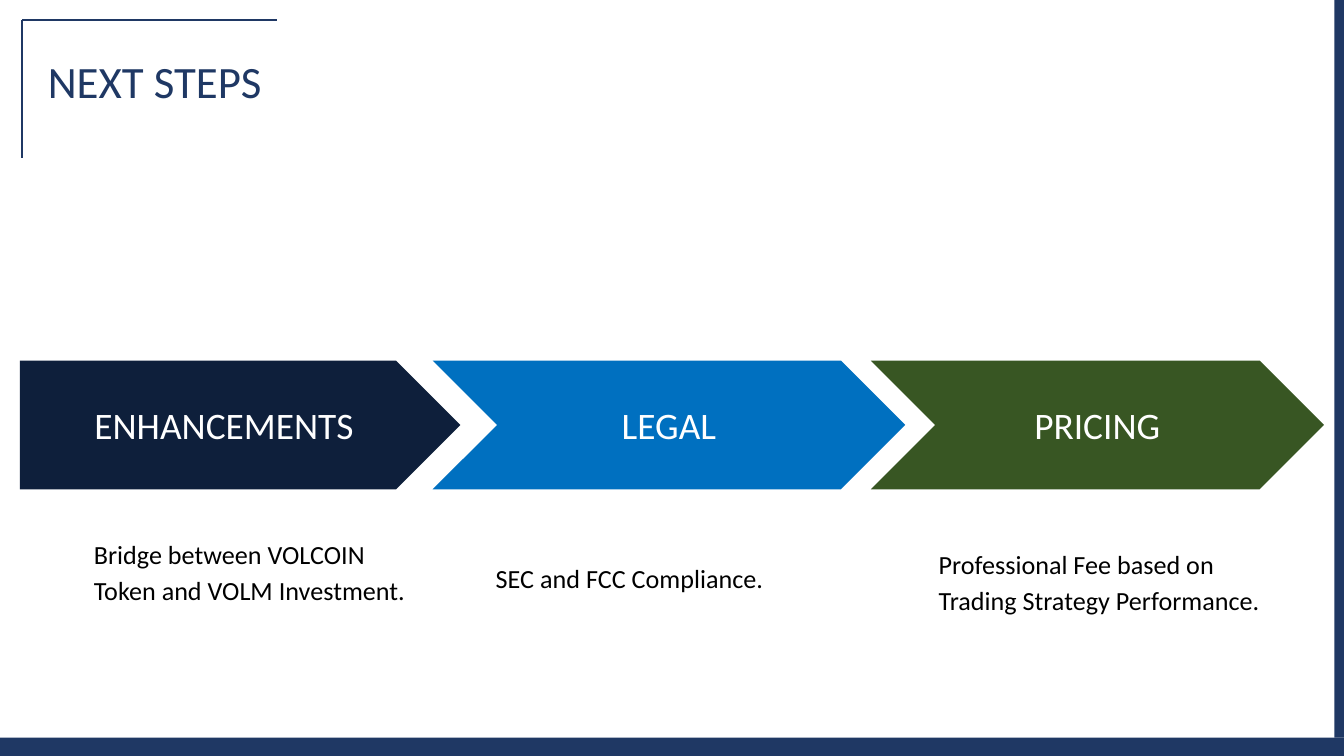
import pptx
import pptx.dml.color
import pptx.enum.shapes
import pptx.enum.text
import pptx.util
from lxml import etree
from pptx.oxml.ns import qn

Pt = pptx.util.Pt
SHAPE = pptx.enum.shapes.MSO_SHAPE
ALIGN = pptx.enum.text.PP_ALIGN
ANCHOR = pptx.enum.text.MSO_ANCHOR

NAVY, WHITE, BLACK = "1F3864", "FFFFFF", "000000"


def rgb(value):
    return pptx.dml.color.RGBColor.from_string(value)


class Deck:
    """Holds the style and the slide being drawn; lengths are in points."""

    font = "Calibri"

    def __init__(self, width, height):
        self.prs = pptx.Presentation()
        self.prs.slide_width, self.prs.slide_height = Pt(width), Pt(height)
        self.s = self.prs.slides.add_slide(self.prs.slide_layouts[6])

    def set_text(self, sp, lines, size, color, inset=(7.2, 7.2), align=ALIGN.LEFT,
                 anchor=ANCHOR.TOP, spacing=None, indent=0):
        tf = sp.text_frame
        tf.word_wrap = True
        tf.vertical_anchor = anchor
        tf.margin_left = tf.margin_right = Pt(inset[0])
        tf.margin_top = tf.margin_bottom = Pt(inset[1])
        tf.text = "\n".join(lines)
        for p in tf.paragraphs:
            p.alignment = align
            p.line_spacing = spacing
            if indent:
                pPr = p._p.get_or_add_pPr()
                pPr.set("marL", str(Pt(indent)))
                pPr.set("indent", "0")
            p.font.name, p.font.size = self.font, Pt(size)
            p.font.color.rgb = rgb(color)

    def shape(self, kind, x, y, w, h, fill):
        sp = self.s.shapes.add_shape(kind, Pt(x), Pt(y), Pt(w), Pt(h))
        sp.shadow.inherit = False
        sp.fill.solid()
        sp.fill.fore_color.rgb = rgb(fill)
        sp.line.fill.background()
        return sp

    def line(self, x1, y1, x2, y2):
        cn = self.s.shapes.add_connector(
            pptx.enum.shapes.MSO_CONNECTOR.STRAIGHT, Pt(x1), Pt(y1), Pt(x2), Pt(y2))
        cn.line.color.rgb = rgb(NAVY)
        cn.line.width = Pt(1)
        etree.SubElement(cn._element.spPr, qn("a:effectLst"))

    def text(self, x, y, w, h, lines, size, color, **style):
        sp = self.s.shapes.add_textbox(Pt(x), Pt(y), Pt(w), Pt(h))
        self.set_text(sp, lines, size, color, **style)

    def step(self, kind, x, w, fill, label):
        sp = self.shape(kind, x, 193.2, w, 69, fill)
        sp.adjustments[0] = 0.5
        self.set_text(sp, [label], 20, WHITE, align=ALIGN.CENTER, anchor=ANCHOR.MIDDLE)


def main():
    deck = Deck(720, 405)

    deck.text(20.2, 26, 351.4, 34.6, ["NEXT STEPS"], 24, NAVY, inset=(5.4, 2.7))
    deck.line(12, 10.5, 12, 84.6)
    deck.line(12, 10.5, 148.4, 10.5)

    deck.shape(SHAPE.RECTANGLE, 0, 395.2, 720, 9.8, NAVY)
    deck.shape(SHAPE.RECTANGLE, 714.8, 0, 5.2, 395.2, NAVY)

    steps = [
        (SHAPE.PENTAGON, 10.7, 236, "0E1F3B", "ENHANCEMENTS"),
        (SHAPE.CHEVRON, 231.8, 253.2, "0070C0", "LEGAL"),
        (SHAPE.CHEVRON, 466.5, 242.8, "385623", "PRICING"),
    ]
    for step in steps:
        deck.step(*step)

    notes = [
        (7.2, 278.6, 242.6, 51.1, 36,
         ["Bridge between VOLCOIN", "Token and VOLM Investment."]),
        (258.5, 291.6, 169.2, 59.8, 0, ["SEC and FCC Compliance."]),
        (495.8, 284, 213.8, 74.2, 0,
         ["Professional Fee based on", "Trading Strategy Performance."]),
    ]
    for x, y, w, h, indent, lines in notes:
        deck.text(x, y, w, h, lines, 14, BLACK, spacing=1.15, indent=indent)

    deck.prs.save("out.pptx")


if __name__ == "__main__":
    main()
